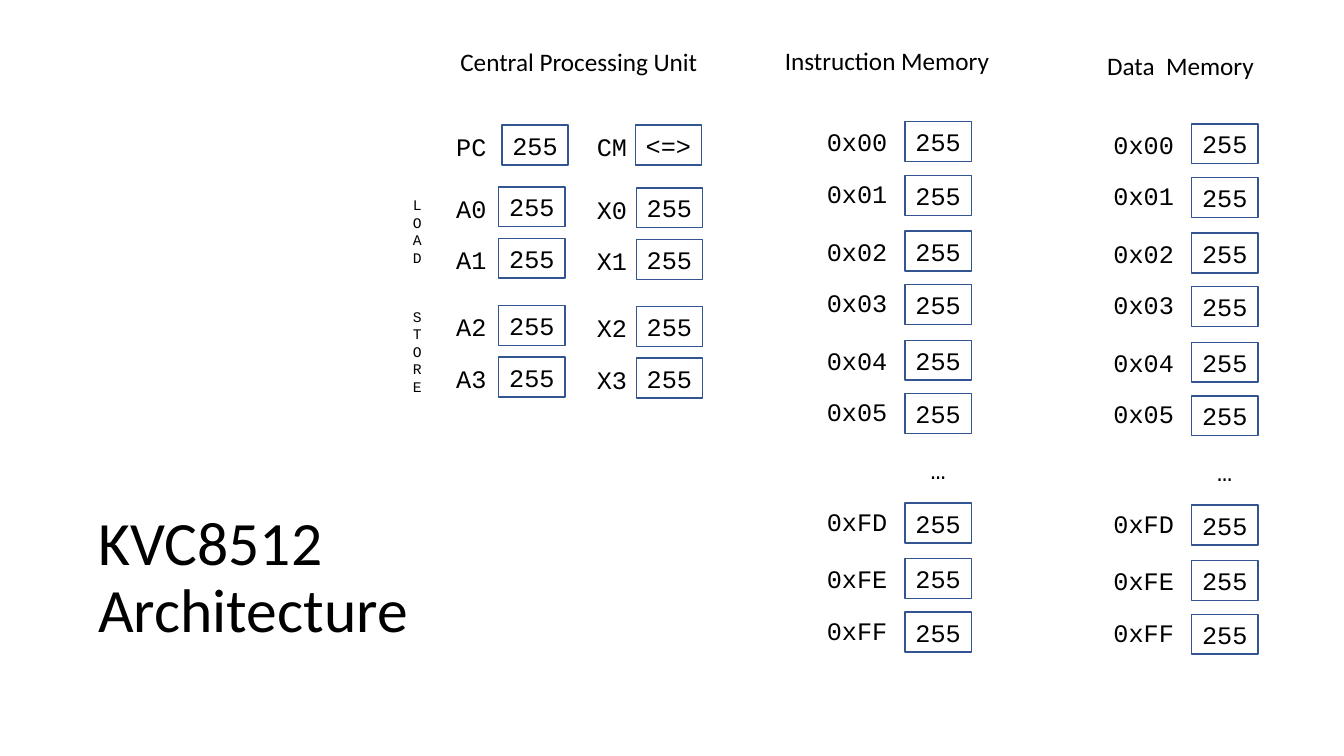
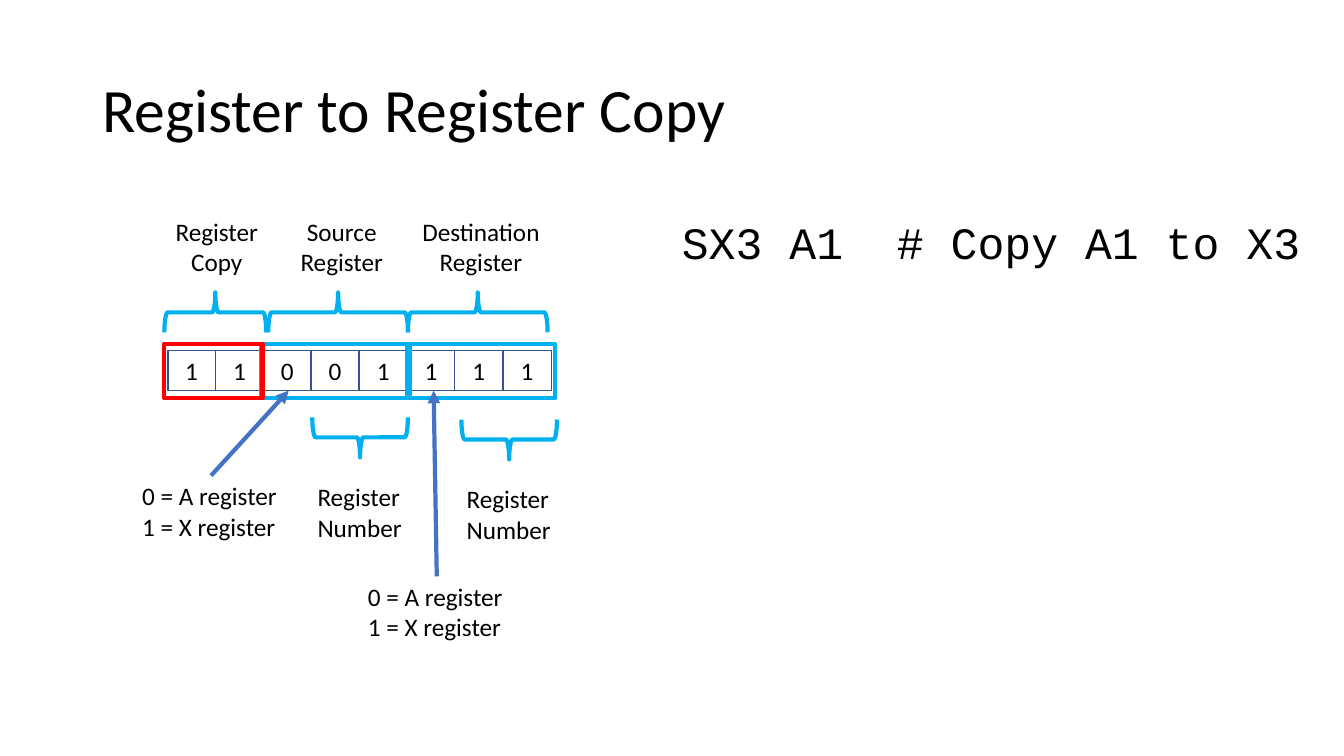
from lxml.etree import SubElement
from pptx import Presentation
from pptx.dml.color import RGBColor
from pptx.enum.shapes import MSO_CONNECTOR, MSO_SHAPE
from pptx.enum.text import MSO_ANCHOR, MSO_AUTO_SIZE, PP_ALIGN
from pptx.oxml.ns import qn
from pptx.util import Emu, Pt

EMU_PER_PX = 9525
SLIDE_WIDTH, SLIDE_HEIGHT = 1280, 720

BLACK = RGBColor(0x00, 0x00, 0x00)
CELL_BLUE = RGBColor(0x32, 0x54, 0x91)
ARROW_BLUE = RGBColor(0x44, 0x72, 0xC4)
FIELD_BLUE = RGBColor(0x00, 0xB0, 0xF0)
FIELD_RED = RGBColor(0xFF, 0x00, 0x00)

SANS, MONO = "Calibri", "Courier New"
CELL_WIDTH, CELL_HEIGHT = 63, 38
TITLE_ONLY = 5

ADDRESSES = ["0x00", "0x01", "0x02", "0x03", "0x04", "0x05", None, "0xFD", "0xFE", "0xFF"]


def px(*lengths):
    return [Emu(length * EMU_PER_PX) for length in lengths]


def format_text(text_frame, size, font, alignment):
    for paragraph in text_frame.paragraphs:
        paragraph.alignment = alignment
        for run in paragraph.runs:
            run.font.size = Pt(size)
            run.font.name = font
            run.font.color.rgb = BLACK


def add_titled_slide(presentation, title_text, box):
    slide = presentation.slides.add_slide(presentation.slide_layouts[TITLE_ONLY])
    title = slide.shapes.title
    title.left, title.top, title.width, title.height = px(*box)
    text_frame = title.text_frame
    text_frame.text = title_text
    text_frame.word_wrap = True
    text_frame.auto_size = MSO_AUTO_SIZE.NONE
    text_frame.vertical_anchor = MSO_ANCHOR.MIDDLE
    text_frame.paragraphs[0].line_spacing = 0.9
    format_text(text_frame, 44, SANS, PP_ALIGN.LEFT)
    return slide


def add_label(slide, text, box, size=18, font=SANS, alignment=PP_ALIGN.LEFT):
    text_frame = slide.shapes.add_textbox(*px(*box)).text_frame
    text_frame.word_wrap = False
    text_frame.auto_size = MSO_AUTO_SIZE.SHAPE_TO_FIT_TEXT
    text_frame.text = text
    format_text(text_frame, size, font, alignment)


def add_outline(shapes, preset, box, color, line_width):
    shape = shapes.add_shape(preset, *px(*box))
    shape.shadow.inherit = False
    shape.fill.background()
    shape.line.color.rgb = color
    shape.line.width = Pt(line_width)
    return shape


def add_cell(shapes, text, box, font):
    shape = add_outline(shapes, MSO_SHAPE.RECTANGLE, box, CELL_BLUE, 1)
    shape.text_frame.text = text
    shape.text_frame.vertical_anchor = MSO_ANCHOR.MIDDLE
    format_text(shape.text_frame, 18, font, PP_ALIGN.CENTER)


def add_brace(slide, box, rotation):
    """Turn a left brace so that it fills the wide box: 90 points up, 270 down."""
    left, top, width, height = box
    shift = (width - height) // 2
    upright_box = (left + shift, top - shift, height, width)
    brace = add_outline(slide.shapes, MSO_SHAPE.LEFT_BRACE, upright_box, FIELD_BLUE, 3)
    brace.rotation = rotation


def add_arrow(slide, start, end):
    connector = slide.shapes.add_connector(MSO_CONNECTOR.STRAIGHT, *px(*start, *end))
    connector.line.color.rgb = ARROW_BLUE
    connector.line.width = Pt(3)
    properties = connector._element.spPr
    SubElement(properties.find(qn("a:ln")), qn("a:tailEnd"), type="triangle")
    SubElement(properties, qn("a:effectLst"))


def add_register(slide, name, value, left, top, cell_offset):
    add_label(slide, name, (left, top + 1, 48, CELL_HEIGHT), font=MONO)
    cell_box = (left + cell_offset, top, CELL_WIDTH, CELL_HEIGHT)
    add_cell(slide.shapes, value, cell_box, MONO)


def add_processor(slide, left, top):
    add_label(slide, "Central Processing Unit", (left + 4, top - 80, 248, 38))
    add_register(slide, "PC", "255", left, top, 53)
    add_register(slide, "CM", "<=>", left + 134, top, 46)
    for number, row_top in enumerate([59, 108, 172, 221]):
        add_register(slide, f"A{number}", "255", left, top + row_top, 50)
        add_register(slide, f"X{number}", "255", left + 134, top + row_top + 1, 47)
    for word, word_top, height in [("LOAD", 63, 78), ("STORE", 169, 94)]:
        word_box = (left - 42, top + word_top, 29, height)
        add_label(slide, "\n".join(word), word_box, 10.5, MONO, PP_ALIGN.CENTER)


def add_memory(slide, heading, heading_box, left, top):
    """Stack the addresses in pairs, with a wider gap between the pairs."""
    add_label(slide, heading, heading_box)
    for row, address in enumerate(ADDRESSES):
        pair, second = divmod(row, 2)
        row_top = top + 104 * pair + 51 * second
        cell_box = (left + 84, row_top, CELL_WIDTH, CELL_HEIGHT)
        if address is None:
            add_label(slide, "…", cell_box, font=MONO, alignment=PP_ALIGN.CENTER)
            continue
        label_box = (left, row_top - 2 * second, 78, CELL_HEIGHT)
        add_label(slide, address, label_box, font=MONO)
        add_cell(slide.shapes, "255", cell_box, MONO)


def add_bits(slide, bits, left, top, width):
    group = slide.shapes.add_group_shape()
    edges = [left + width * index // len(bits) for index in range(len(bits) + 1)]
    for bit, start, end in zip(bits, edges, edges[1:]):
        add_cell(group.shapes, bit, (start, top, end - start, CELL_HEIGHT), SANS)


def add_field(slide, caption, caption_span, brace_span, frame_span, top, color):
    """Stack caption, brace and frame; each span is a left edge and a width."""
    caption_left, caption_width = caption_span
    add_label(slide, caption, (caption_left, top, caption_width, 68), alignment=PP_ALIGN.CENTER)
    brace_left, brace_width = brace_span
    add_brace(slide, (brace_left, top + 77, brace_width, 38), 90)
    frame_left, frame_width = frame_span
    frame_box = (frame_left, top + 127, frame_width, 51)
    add_outline(slide.shapes, MSO_SHAPE.RECTANGLE, frame_box, color, 3)


def add_register_number(slide, left, top):
    add_brace(slide, (left, top, 91, 38), 270)
    add_label(slide, "Register\nNumber", (left - 5, top + 57, 101, 68))


def add_register_kind(slide, left, top, bit_point):
    add_label(slide, "0 = A register\n1 = X register", (left, top, 149, 68))
    add_arrow(slide, (left + 75, top), bit_point)


def build_architecture_slide(presentation):
    slide = add_titled_slide(presentation, "KVC8512 Architecture", (84, 482, 353, 139))
    add_processor(slide, 425, 119)
    add_memory(slide, "Instruction Memory", (738, 38, 216, 38), 778, 116)
    add_memory(slide, "Data  Memory", (1045, 43, 160, 38), 1051, 118)


def build_register_copy_slide(presentation):
    slide = add_titled_slide(presentation, "Register to Register Copy", (88, 38, 1104, 139))
    add_label(slide, "SX3 A1  # Copy A1 to X3", (640, 200, 615, 61), 32, MONO)
    add_bits(slide, "11001111", 160, 334, 365)
    fields = [
        ("Source\nRegister", (276, 99), (256, 133), (249, 139), FIELD_BLUE),
        ("Destination\nRegister", (392, 132), (389, 133), (390, 139), FIELD_BLUE),
        ("Register\nCopy", (157, 99), (157, 97), (156, 94), FIELD_RED),
    ]
    for caption, caption_span, brace_span, frame_span, color in fields:
        add_field(slide, caption, caption_span, brace_span, frame_span, 201, color)
    add_register_number(slide, 298, 397)
    add_register_number(slide, 440, 399)
    add_register_kind(slide, 126, 453, (275, 372))
    add_register_kind(slide, 341, 549, (413, 372))


def main():
    presentation = Presentation()
    presentation.slide_width, presentation.slide_height = px(SLIDE_WIDTH, SLIDE_HEIGHT)
    build_architecture_slide(presentation)
    build_register_copy_slide(presentation)
    presentation.save("out.pptx")


if __name__ == "__main__":
    main()
